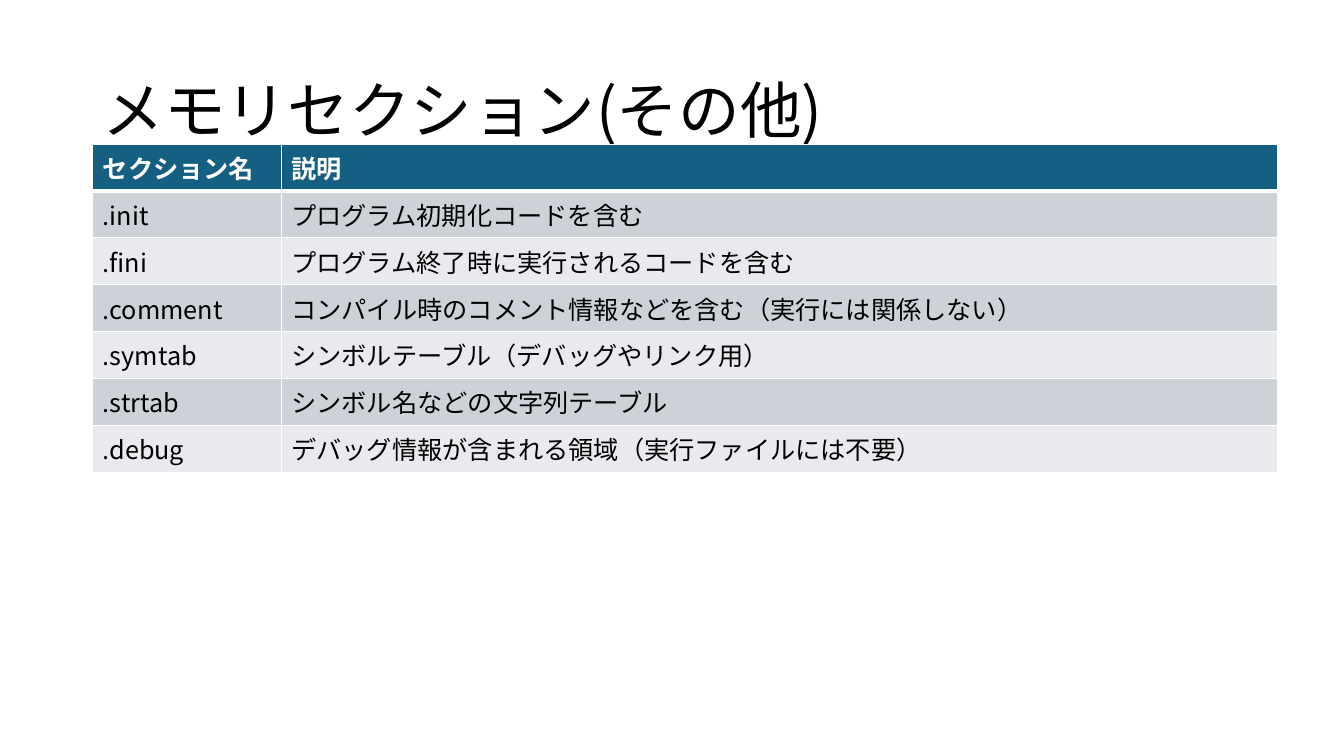
import pptx
import pptx.enum.lang
import pptx.enum.text
import pptx.oxml
import pptx.oxml.ns
import pptx.util
from pptx.dml.color import RGBColor
from pptx.util import Inches

TITLE = "メモリセクション(その他)"
SECTIONS = [
    ("セクション名", "説明"),
    (".init", "プログラム初期化コードを含む"),
    (".fini", "プログラム終了時に実行されるコードを含む"),
    (".comment", "コンパイル時のコメント情報などを含む（実行には関係しない）"),
    (".symtab", "シンボルテーブル（デバッグやリンク用）"),
    (".strtab", "シンボル名などの文字列テーブル"),
    (".debug", "デバッグ情報が含まれる領域（実行ファイルには不要）"),
]
COLUMN_WIDTHS = (1.87, 9.88)
ROW_HEIGHT = 0.465
LEFT, TABLE_TOP = 0.92, 1.43

FONT = "Noto Sans CJK JP"
BLACK = RGBColor(0x00, 0x00, 0x00)
WHITE = RGBColor(0xFF, 0xFF, 0xFF)
HEADER_FILL = RGBColor(0x15, 0x60, 0x82)
BAND_FILLS = (RGBColor(0xE8, 0xEA, 0xED), RGBColor(0xCC, 0xD2, 0xD8))


def format_text(frame, size, color, bold=False):
    for para in frame.paragraphs:
        for span in para.runs:
            font = span.font
            font.size = pptx.util.Pt(size)
            font.bold = bold
            font.color.rgb = color
            font.name = FONT
            font.language_id = pptx.enum.lang.MSO_LANGUAGE_ID.JAPANESE
            east_asian = pptx.oxml.parse_xml(
                f'<a:ea {pptx.oxml.ns.nsdecls("a")} typeface="{FONT}"/>')
            span.font._element.append(east_asian)


def set_borders(cell, bottom_width):
    """Draw white cell borders, 1 pt except for the bottom one."""
    properties = cell._tc.get_or_add_tcPr()
    widths = {"lnL": 1, "lnR": 1, "lnT": 1, "lnB": bottom_width}
    for position, (tag, width) in enumerate(widths.items()):
        line = pptx.oxml.parse_xml(
            f'<a:{tag} {pptx.oxml.ns.nsdecls("a")} w="{pptx.util.Pt(width)}">'
            f'<a:solidFill><a:srgbClr val="{WHITE}"/></a:solidFill></a:{tag}>')
        properties.insert(position, line)


def add_title(page):
    box = page.shapes.add_textbox(Inches(LEFT), Inches(0.4), Inches(11.5), Inches(1.45))
    frame = box.text_frame
    frame.word_wrap = True
    frame.vertical_anchor = pptx.enum.text.MSO_ANCHOR.MIDDLE
    frame.text = TITLE
    frame.paragraphs[0].line_spacing = 0.9
    format_text(frame, 44, BLACK)


def add_section_table(page):
    table = page.shapes.add_table(
        len(SECTIONS), len(COLUMN_WIDTHS), Inches(LEFT), Inches(TABLE_TOP),
        Inches(sum(COLUMN_WIDTHS)), Inches(ROW_HEIGHT * len(SECTIONS))).table
    for column, width in zip(table.columns, COLUMN_WIDTHS):
        column.width = Inches(width)
    for row_index, texts in enumerate(SECTIONS):
        header = row_index == 0
        table.rows[row_index].height = Inches(ROW_HEIGHT)
        for column_index, text in enumerate(texts):
            cell = table.cell(row_index, column_index)
            cell.text_frame.text = text
            format_text(cell.text_frame, 18, WHITE if header else BLACK, header)
            cell.fill.solid()
            cell.fill.fore_color.rgb = HEADER_FILL if header else BAND_FILLS[row_index % 2]
            set_borders(cell, 3 if header else 1)


def main():
    deck = pptx.Presentation()
    deck.slide_width, deck.slide_height = Inches(13.33), Inches(7.5)
    page = deck.slides.add_slide(deck.slide_layouts[6])
    add_title(page)
    add_section_table(page)
    deck.save("out.pptx")


if __name__ == "__main__":
    main()
